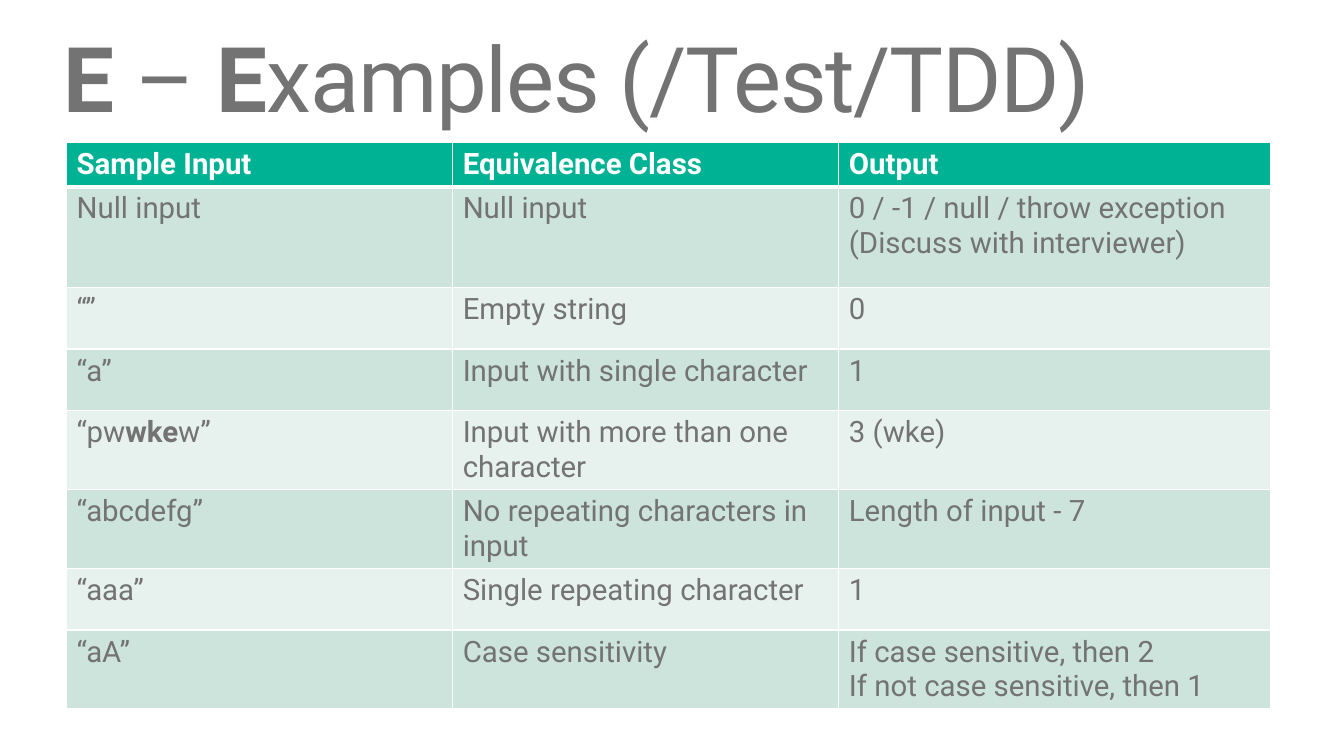
from pptx import Presentation
from pptx.dml.color import RGBColor
from pptx.enum.text import MSO_ANCHOR, MSO_AUTO_SIZE, PP_ALIGN
from pptx.oxml.ns import qn
from pptx.util import Inches, Pt
from lxml.etree import SubElement

GREY = RGBColor(0x73, 0x73, 0x73)
WHITE = RGBColor(0xFF, 0xFF, 0xFF)
GREEN = RGBColor(0x00, 0xB2, 0x94)
MINT = RGBColor(0xCC, 0xE4, 0xDC)
PALE = RGBColor(0xE7, 0xF2, 0xEE)

COLUMN_WIDTHS = [3.83, 3.83, 4.28]
ROW_HEIGHTS = [0.39, 1, 0.61, 0.61, 0.7, 0.7, 0.61, 0.7]
EXAMPLES = [
    ["Sample Input", "Equivalence Class", "Output"],
    ["Null input", "Null input", "0 / -1 / null / throw exception\n(Discuss with interviewer)"],
    ["“”", "Empty string", "0"],
    ["“a”", "Input with single character", "1"],
    ["“pw**wke**w”", "Input with more than one character", "3 (wke)"],
    ["“abcdefg”", "No repeating characters in input", "Length of input - 7"],
    ["“aaa”", "Single repeating character", "1"],
    ["“aA”", "Case sensitivity", "If case sensitive, then 2\nIf not case sensitive, then 1"],
]


class ExampleSlide:
    """Holds the style and the current slide, and adds its elements."""

    font_name = "Roboto"

    def __init__(self, deck):
        self.slide = deck.slides.add_slide(deck.slide_layouts[5])

    def set_text(self, frame, text, size, color, bold=False):
        frame.text = text
        for paragraph in frame.paragraphs:
            pieces = paragraph.text.split("**")
            paragraph.text = pieces[0]
            for piece in pieces[1:]:
                paragraph.add_run().text = piece
            for index, run in enumerate(paragraph.runs):
                run.font.name = self.font_name
                run.font.size = Pt(size)
                run.font.color.rgb = color
                run.font.bold = bold != (index % 2 == 1)

    def title(self, text, left, top, width, height):
        heading = self.slide.shapes.title
        heading.left, heading.top = Inches(left), Inches(top)
        heading.width, heading.height = Inches(width), Inches(height)
        frame = heading.text_frame
        self.set_text(frame, text, 64.7, GREY, bold=True)
        frame.word_wrap = True
        frame.auto_size = MSO_AUTO_SIZE.NONE
        frame.vertical_anchor = MSO_ANCHOR.TOP
        frame.margin_left = frame.margin_right = Inches(0.16)
        frame.margin_top = frame.margin_bottom = Inches(0.08)
        paragraph = frame.paragraphs[0]
        paragraph.alignment = PP_ALIGN.LEFT
        paragraph.line_spacing = 0.9
        for run in paragraph.runs:
            run.font._element.set("spc", "-100")

    def borders(self, cell, top, bottom):
        properties = cell._tc.get_or_add_tcPr()
        for side, points in (("L", 1), ("R", 1), ("T", top), ("B", bottom)):
            line = SubElement(properties, qn(f"a:ln{side}"), w=str(Pt(points)))
            SubElement(SubElement(line, qn("a:solidFill")), qn("a:srgbClr"), val=str(WHITE))

    def table(self, rows, left, top, widths, heights):
        table = self.slide.shapes.add_table(
            len(rows), len(widths), Inches(left), Inches(top),
            Inches(sum(widths)), Inches(sum(heights))).table
        for column, width in zip(table.columns, widths):
            column.width = Inches(width)
        for index, (row, height, texts) in enumerate(zip(table.rows, heights, rows)):
            row.height = Inches(height)
            header = index == 0
            for cell, text in zip(row.cells, texts):
                self.borders(cell, 3 if index == 1 else 1, 3 if header else 1)
                cell.fill.solid()
                cell.fill.fore_color.rgb = GREEN if header else MINT if index % 2 else PALE
                self.set_text(cell.text_frame, text, 21, WHITE if header else GREY, header)


def main():
    deck = Presentation()
    deck.slide_width, deck.slide_height = Inches(13.33), Inches(7.5)
    page = ExampleSlide(deck)
    page.title("E** – **E**xamples (/Test/TDD)", 0.47, 0.26, 11.53, 1.25)
    page.table(EXAMPLES, 0.66, 1.41, COLUMN_WIDTHS, ROW_HEIGHTS)
    deck.save("out.pptx")


if __name__ == "__main__":
    main()
